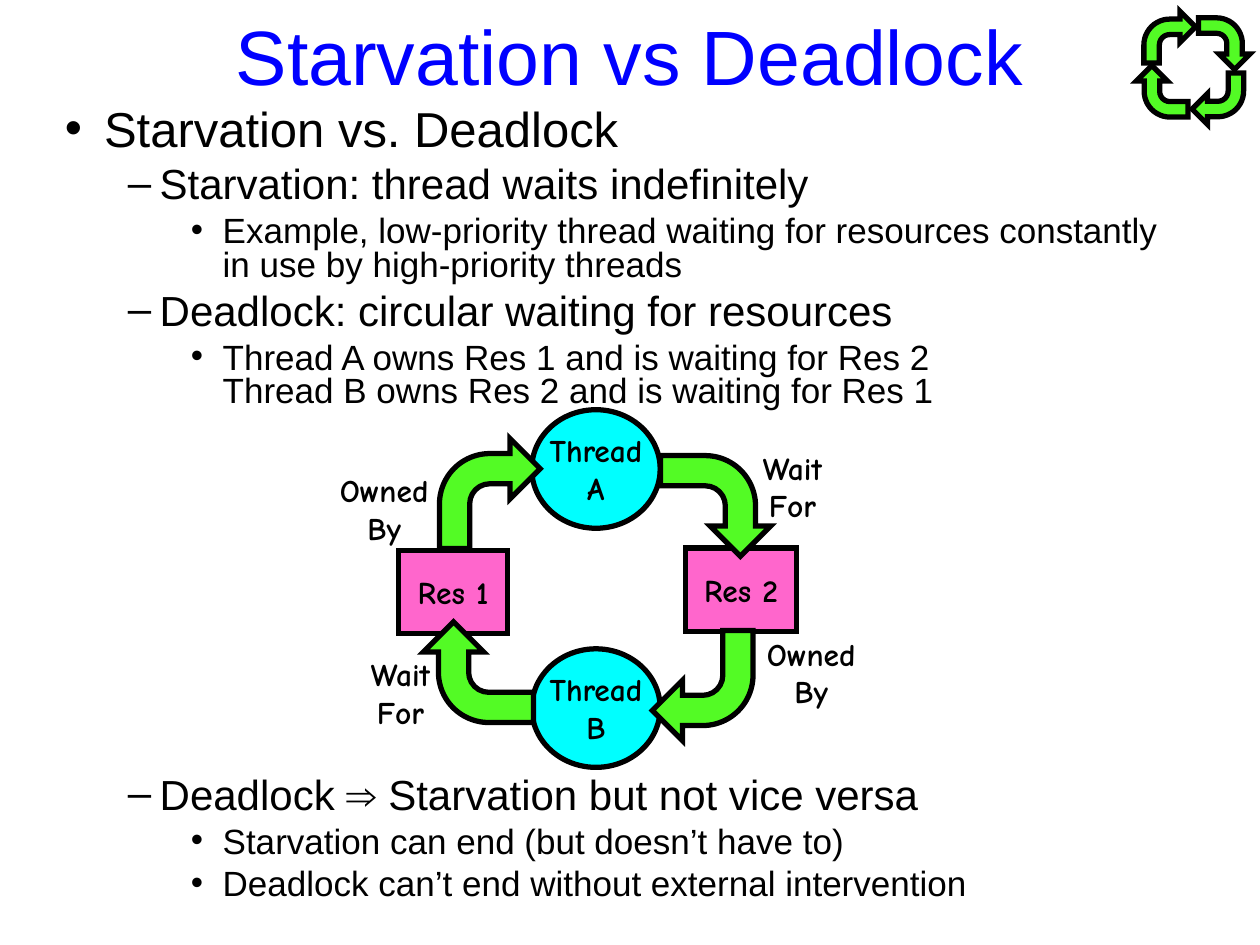
from lxml import etree
from pptx import Presentation
from pptx.dml.color import RGBColor
from pptx.enum.shapes import MSO_SHAPE
from pptx.enum.text import MSO_ANCHOR, PP_ALIGN
from pptx.oxml.ns import qn
from pptx.util import Cm, Pt

RECT, OVAL, BENT_ARROW = MSO_SHAPE.RECTANGLE, MSO_SHAPE.OVAL, MSO_SHAPE.BENT_ARROW
TOP, MIDDLE = MSO_ANCHOR.TOP, MSO_ANCHOR.MIDDLE
CENTER = PP_ALIGN.CENTER

COLORS = {"title": "0000FF", "ink": "000000", "resource": "FF66CC",
          "thread": "00FFFF", "arrow": "53FB25"}

TITLE = "Starvation vs Deadlock"
DIAGRAM_GAP = 210  # points left free in the outline for the diagram
OUTLINE = [  # level, text, space before (None: the level's own)
    (0, "Starvation vs. Deadlock", None),
    (1, "Starvation: thread waits indefinitely", None),
    (2, "Example, low-priority thread waiting for resources constantly "
        "in use by high-priority threads", None),
    (1, "Deadlock: circular waiting for resources", None),
    (2, "Thread A owns Res 1 and is waiting for Res 2\n"
        "Thread B owns Res 2 and is waiting for Res 1", None),
    (1, "Deadlock ⇒ Starvation but not vice versa", DIAGRAM_GAP),
    (2, "Starvation can end (but doesn’t have to)", None),
    (2, "Deadlock can’t end without external intervention", None),
]
LEVELS = [  # size, space before, bullet, left margin cm, hanging cm
    (28, 7, "•", 0.79, 0.79),
    (24, 6, "–", 1.91, 0.64),
    (20, 5, "•", 3.18, 0.64),
]

# Boxes are left, top, width, height in cm
NODES = [
    (RECT, "resource", ["Res 2"], (13.82, 11.05, 2.24, 1.68)),
    (RECT, "resource", ["Res 1"], (8.03, 11.1, 2.21, 1.68)),
    (OVAL, "thread", ["Thread", "B"], (10.72, 13.08, 2.59, 2.39)),
    (OVAL, "thread", ["Thread", "A"], (10.72, 8.26, 2.59, 2.39)),
]
LABELS = [
    (["Wait", "For"], (15.11, 8.92, 1.73, 1.78)),
    (["Wait", "For"], (7.21, 13.08, 1.73, 1.78)),
    (["Owned", "By"], (15.21, 12.67, 2.29, 1.78)),
    (["Owned", "By"], (6.6, 9.37, 2.29, 1.78)),
]
# Each cycle: arrow size, then corners clockwise from top left
CYCLES = [
    ((2.03, 2.22), [(8.86, 8.84), (13.41, 9.09), (13.15, 12.71), (8.63, 12.44)]),
    ((1.04, 1.04), [(23.06, 0.23), (24.16, 0.36), (24.03, 1.47), (22.91, 1.32)]),
]
ARROW_ADJUSTMENTS = (0.3, 0.3, 0.3, 0.5)  # shaft, head width, head length, bend


def rgb(name):
    return RGBColor.from_string(COLORS[name])


def add_paragraph(tf, text, *, size, font="Arial", color="ink", bold=False, align=None):
    """Fill the frame's empty first paragraph, or append a new one."""
    p = tf.paragraphs[0] if not tf.paragraphs[0].runs else tf.add_paragraph()
    p.text = text
    p.alignment = align
    for r in p.runs:
        r.font.size, r.font.name, r.font.bold = Pt(size), font, bold
        r.font.color.rgb = rgb(color)
    return p


def add_text_box(slide, box, *, anchor=TOP, wrap=True):
    tf = slide.shapes.add_textbox(*map(Cm, box)).text_frame
    tf.word_wrap, tf.vertical_anchor = wrap, anchor
    return tf


def add_outlined(slide, kind, box, fill):
    sp = slide.shapes.add_shape(kind, *map(Cm, box))
    sp.shadow.inherit = False
    sp.fill.solid()
    sp.fill.fore_color.rgb = rgb(fill)
    sp.line.color.rgb, sp.line.width = rgb("ink"), Pt(3)
    etree.SubElement(sp.line._get_or_add_ln(), qn("a:miter"), lim="800000")
    return sp


def add_caption(tf, lines):
    for line in lines:
        add_paragraph(tf, line, size=18, font="Comic Neue", bold=True, align=CENTER)


def set_bullet(p, char, margin, hanging):
    ppr = p._p.get_or_add_pPr()
    ppr.set("marL", str(Cm(margin)))
    ppr.set("indent", str(-Cm(hanging)))
    etree.SubElement(ppr, qn("a:buFont"), typeface="Arial")
    etree.SubElement(ppr, qn("a:buChar"), char=char)


def add_outline(slide):
    tf = add_text_box(slide, (1.06, 2.09, 22.94, 16.51))
    for level, text, gap in OUTLINE:
        size, before, char, margin, hanging = LEVELS[level]
        p = add_paragraph(tf, text, size=size)
        p.level, p.line_spacing = level, 0.8
        p.space_before = Pt(gap or before)
        set_bullet(p, char, margin, hanging)


def add_cycle(slide, size, corners):
    for i, corner in enumerate(corners):
        sp = add_outlined(slide, BENT_ARROW, corner + size, "arrow")
        sp.rotation = 90 * i
        for k, value in enumerate(ARROW_ADJUSTMENTS):
            sp.adjustments[k] = value


def main():
    prs = Presentation()
    prs.slide_width, prs.slide_height = Cm(25.4), Cm(19.05)
    slide = prs.slides.add_slide(prs.slide_layouts[6])

    tf = add_text_box(slide, (1.27, 0, 22.86, 2.21), anchor=MIDDLE)
    add_paragraph(tf, TITLE, size=44, color="title", align=CENTER)
    add_outline(slide)

    for kind, fill, lines, box in NODES:
        tf = add_outlined(slide, kind, box, fill).text_frame
        tf.word_wrap, tf.vertical_anchor = False, MIDDLE
        add_caption(tf, lines)
    for size, corners in CYCLES:
        add_cycle(slide, size, corners)
    for lines, box in LABELS:
        add_caption(add_text_box(slide, box, wrap=False), lines)

    prs.save("out.pptx")


if __name__ == "__main__":
    main()
